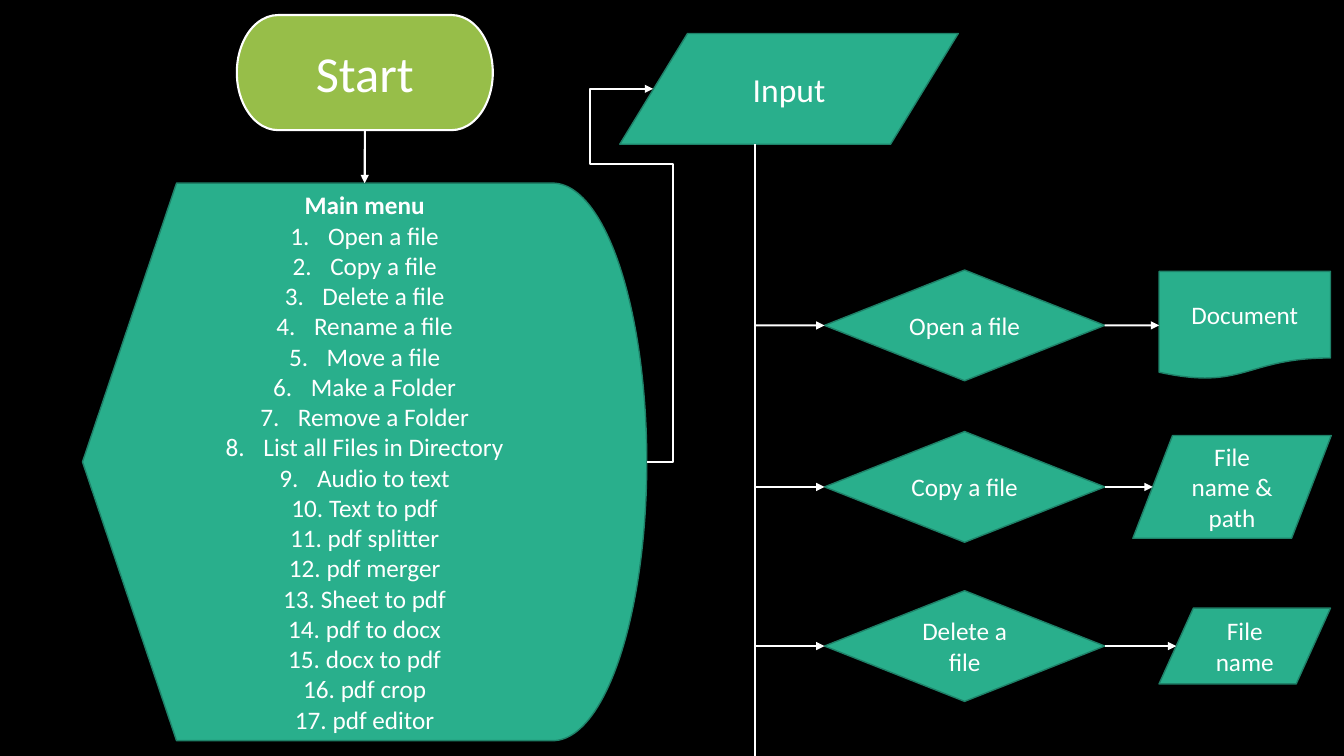
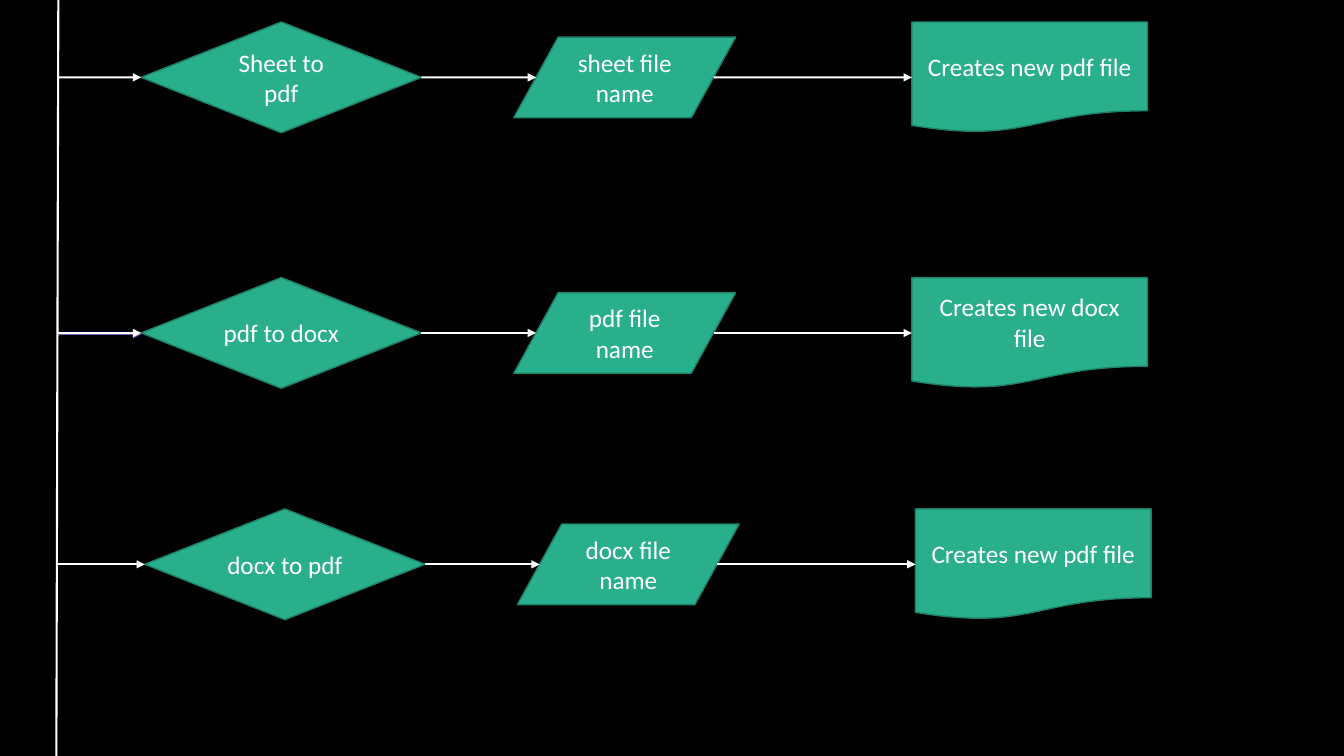
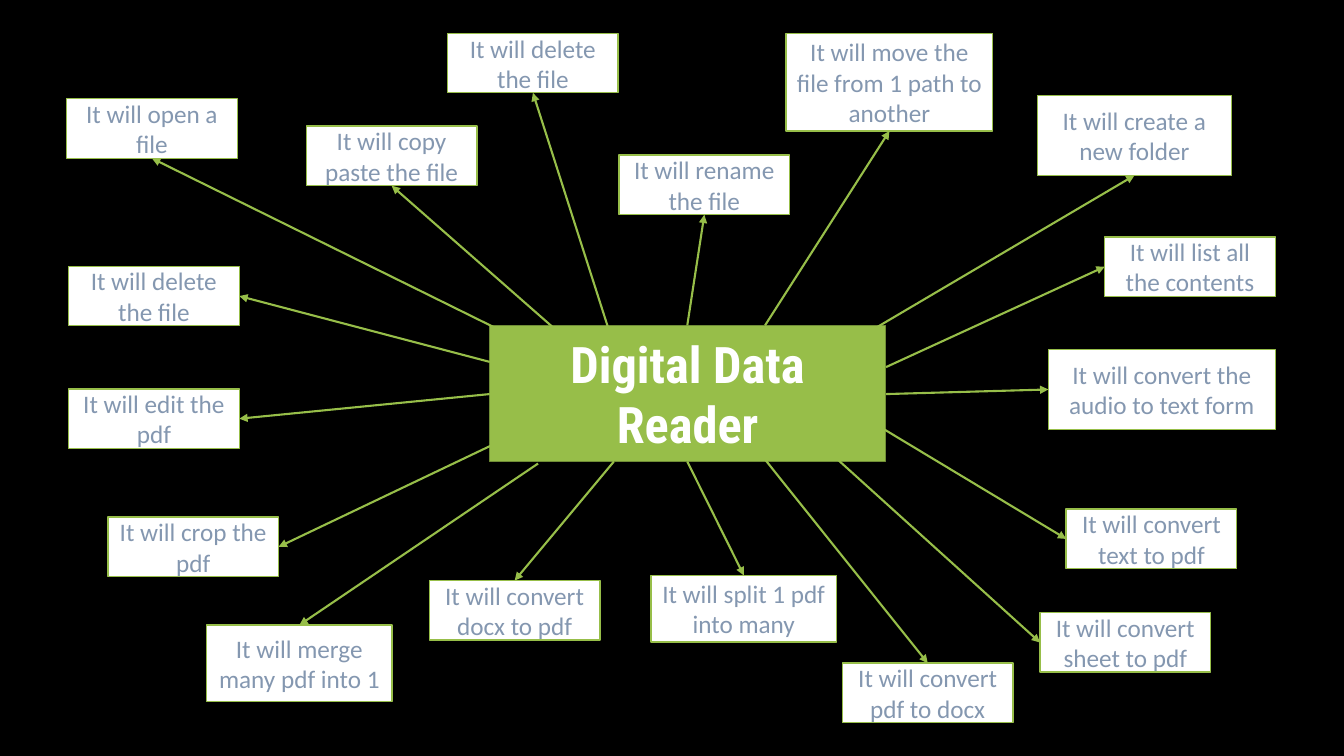
"""Builds three slides: two file-tool flowcharts and a feature map."""
from dataclasses import dataclass

from lxml.etree import SubElement
from pptx import Presentation
from pptx.dml.color import RGBColor as Rgb
from pptx.enum.shapes import MSO_CONNECTOR as Link, MSO_SHAPE as Form
from pptx.enum.text import MSO_ANCHOR as Anchor, PP_ALIGN as Align
from pptx.oxml.ns import qn
from pptx.util import Cm, Pt

TOP, LEFT, BOTTOM, RIGHT = range(4)


@dataclass(frozen=True)
class Theme:
    background: str = "000000"
    white: str = "FFFFFF"
    teal: str = "29AF8C"
    teal_edge: str = "1E8168"
    green: str = "97BE49"
    green_edge: str = "708D36"
    slate: str = "8497B0"
    purple: str = "7C60C6"
    body_font: str = "Calibri"
    hub_font: str = "Roboto Condensed"
    body_size: int = 18
    input_size: int = 24
    large_size: int = 36
    edge: float = 1
    stroke: float = 1.5
    number_indent: float = 0.95


class Deck:
    def __init__(self, theme):
        self.theme = theme
        self.prs = Presentation()
        self.prs.slide_width, self.prs.slide_height = Cm(33.87), Cm(19.05)
        self.slide = None

    def new_slide(self):
        self.slide = self.prs.slides.add_slide(self.prs.slide_layouts[6])
        fill = self.slide.background.fill
        fill.solid()
        fill.fore_color.rgb = Rgb.from_string(self.theme.background)

    def label(self, paragraph, text, color, **changes):
        paragraph.alignment = Align.CENTER
        run = paragraph.add_run()
        run.text = text
        look = {"name": self.theme.body_font, "size": Pt(self.theme.body_size), "bold": False}
        for key, value in (look | changes).items():
            setattr(run.font, key, value)
        run.font.color.rgb = Rgb.from_string(color)

    def box(self, form, text, at, fill, edge, color=None, edge_width=None, **font):
        shape = self.slide.shapes.add_shape(form, *map(Cm, at))
        shape.shadow.inherit = False
        shape.fill.solid()
        shape.fill.fore_color.rgb = Rgb.from_string(fill)
        shape.line.color.rgb = Rgb.from_string(edge)
        shape.line.width = Pt(edge_width or self.theme.edge)
        frame = shape.text_frame
        for key, value in {"word_wrap": True, "vertical_anchor": Anchor.MIDDLE}.items():
            setattr(frame, key, value)
        self.label(frame.paragraphs[0], text, color or self.theme.white, **font)
        return shape

    def step(self, form, text, left, middle, width, height, **font):
        at = (left, middle - height / 2, width, height)
        return self.box(form, text, at, self.theme.teal, self.theme.teal_edge, **font)

    def decision(self, text, left, middle):
        return self.step(Form.FLOWCHART_DECISION, text, left, middle, 7.06, 2.79)

    def number(self, shape, items):
        indent = Cm(self.theme.number_indent)
        for item in items:
            paragraph = shape.text_frame.add_paragraph()
            self.label(paragraph, item, self.theme.white)
            props = paragraph._p.get_or_add_pPr()
            props.set("marL", str(int(indent)))
            props.set("indent", str(-int(indent)))
            SubElement(props, qn("a:buFont"), typeface="+mj-lt")
            SubElement(props, qn("a:buAutoNum"), type="arabicPeriod")

    def line(self, start, end, color=None, arrow=True, kind=Link.STRAIGHT):
        free = [spot if isinstance(spot[0], (int, float)) else (0, 0) for spot in (start, end)]
        link = self.slide.shapes.add_connector(kind, *(Cm(v) for spot in free for v in spot))
        if free[0] is not start:
            link.begin_connect(*start)
        if free[1] is not end:
            link.end_connect(*end)
        link.line.color.rgb = Rgb.from_string(color or self.theme.white)
        link.line.width = Pt(self.theme.stroke)
        props = link._element.spPr
        if arrow:
            SubElement(props.find(qn("a:ln")), qn("a:tailEnd"), type="triangle")
        SubElement(props, qn("a:effectLst"))
        return link

    def detour(self, start, end, out_x, level_y, back_x):
        link = self.line(start, end, kind=Link.ELBOW)
        width, height = end[0] - start[0], end[1] - start[1]
        shares = ((out_x - start[0]) / width, (level_y - start[1]) / height,
                  (back_x - start[0]) / width)
        geometry = link._element.spPr.find(qn("a:prstGeom"))
        geometry.set("prst", "bentConnector5")
        guides = geometry.find(qn("a:avLst"))
        for place, share in enumerate(shares, 1):
            SubElement(guides, qn("a:gd"), name=f"adj{place}", fmla=f"val {round(share * 100000)}")


theme = Theme()
deck = Deck(theme)

deck.new_slide()
start = deck.box(Form.FLOWCHART_TERMINATOR, "Start", (5.97, 0.38, 6.45, 2.9), theme.green,
                 theme.white, edge_width=theme.stroke, size=Pt(theme.large_size))
menu = deck.step(Form.FLOWCHART_DISPLAY, "Main menu", 2.08, 11.64, 14.22, 14.05, bold=True)
deck.number(menu, (
    "Open a file", "Copy a file", "Delete a file", "Rename a file", "Move a file",
    "Make a Folder", "Remove a Folder", "List all Files in Directory", "Audio to text",
    "Text to pdf", "pdf splitter", "pdf merger", "Sheet to pdf", "pdf to docx",
    "docx to pdf", "pdf crop", "pdf editor"))
deck.line((start, BOTTOM), (menu, TOP))
deck.step(Form.FLOWCHART_DATA, "Input", 15.62, 2.24, 8.53, 2.79, size=Pt(theme.input_size))
deck.detour((16.31, 11.64), (16.46, 2.24), 16.95, 4.13, 14.87)
trunk = 19.03
deck.line((trunk, 3.63), (trunk, 19.05), arrow=False)
for choice, middle, form, result, left, width, height, inset in (
        ("Open a file", 8.2, Form.FLOWCHART_DOCUMENT, "Document", 29.21, 4.32, 2.72, 0),
        ("Copy a file", 12.27, Form.FLOWCHART_DATA, "File name & path", 28.55, 5, 2.59, 0.1),
        ("Delete a file", 16.28, Form.FLOWCHART_DATA, "File name", 29.21, 4.32, 1.91, 0.1)):
    decision = deck.decision(choice, 20.78, middle)
    deck.step(form, result, left, middle, width, height)
    deck.line((trunk, middle), (decision, LEFT))
    deck.line((decision, RIGHT), (left + inset * width, middle))

deck.new_slide()
trunk = 1.45
deck.line((1.47, 0), (1.42, 19.05), arrow=False)
deck.line((trunk, 8.42), (3.56, 8.42), theme.purple)
for choice, source, result, left, middle in (
        ("Sheet to pdf", "sheet file name", "Creates new pdf file", 3.56, 1.95),
        ("pdf to docx", "pdf file name", "Creates new docx file", 3.56, 8.39),
        ("docx to pdf", "docx file name", "Creates new pdf file", 3.65, 14.22)):
    decision = deck.decision(choice, left, middle)
    source_left, source_width = left + 9.39, 5.59
    deck.step(Form.FLOWCHART_DATA, source, source_left, middle, source_width, 2.03)
    document = deck.step(Form.FLOWCHART_DOCUMENT, result, left + 19.42, middle, 5.94, 2.79)
    deck.line((trunk, middle), (decision, LEFT))
    deck.line((decision, RIGHT), (source_left + 0.1 * source_width, middle))
    deck.line((source_left + 0.9 * source_width, middle), (document, LEFT))

deck.new_slide()
deck.box(Form.RECTANGLE, "Digital Data Reader", (12.34, 8.2, 9.98, 3.43), theme.green,
         theme.green_edge, name=theme.hub_font, size=Pt(theme.large_size), bold=True)
usual = (4.3, 1.5)
for feature, corner, size, origin, side in (
        ("open a file", (1.68, 2.49), usual, (12.62, 8.33), BOTTOM),
        ("copy paste the file", (7.72, 3.18), usual, (14.12, 8.41), BOTTOM),
        ("delete the file", (11.28, 0.84), usual, (15.39, 8.46), BOTTOM),
        ("rename the file", (15.6, 3.91), usual, (17.32, 8.2), BOTTOM),
        ("move the file from 1 path to another", (19.81, 0.84), (5.21, 2.46), (19.28, 8.2), BOTTOM),
        ("create a new folder", (26.14, 2.41), (4.9, 2.01), (21.87, 8.38), BOTTOM),
        ("list all the contents", (27.84, 5.97), usual, (22.33, 9.25), LEFT),
        ("convert the audio to text form", (26.42, 8.81), (5.72, 2.01), (22.33, 9.93), LEFT),
        ("convert text to pdf", (26.87, 12.83), usual, (22.25, 10.8), LEFT),
        ("convert sheet to pdf", (26.21, 15.44), usual, (21.11, 11.58), LEFT),
        ("convert pdf to docx", (21.23, 16.71), usual, (19.28, 11.58), TOP),
        ("split 1 pdf into many", (16.41, 14.5), (4.67, 1.68), (17.32, 11.63), TOP),
        ("convert docx to pdf", (10.82, 14.63), usual, (15.47, 11.63), TOP),
        ("merge many pdf into 1", (5.21, 15.75), (4.67, 1.93), (13.56, 11.68), TOP),
        ("crop the pdf", (2.72, 13.03), usual, (12.37, 11.23), RIGHT),
        ("edit the pdf", (1.73, 9.8), usual, (12.34, 9.93), RIGHT),
        ("delete the file", (1.73, 6.71), usual, (12.34, 9.12), RIGHT)):
    note = deck.box(Form.RECTANGLE, f"It will {feature}", corner + size, theme.white,
                    theme.green, theme.slate)
    deck.line(origin, (note, side), theme.green)

deck.prs.save("out.pptx")
